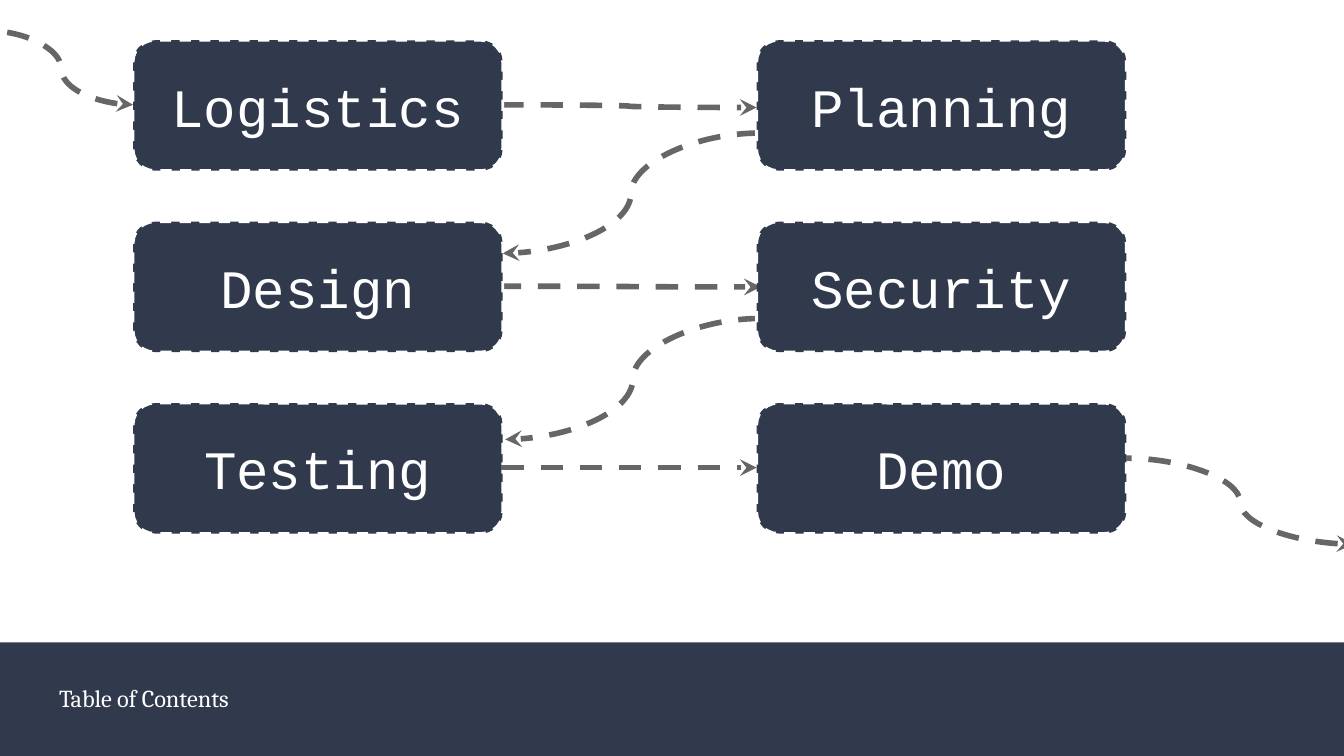
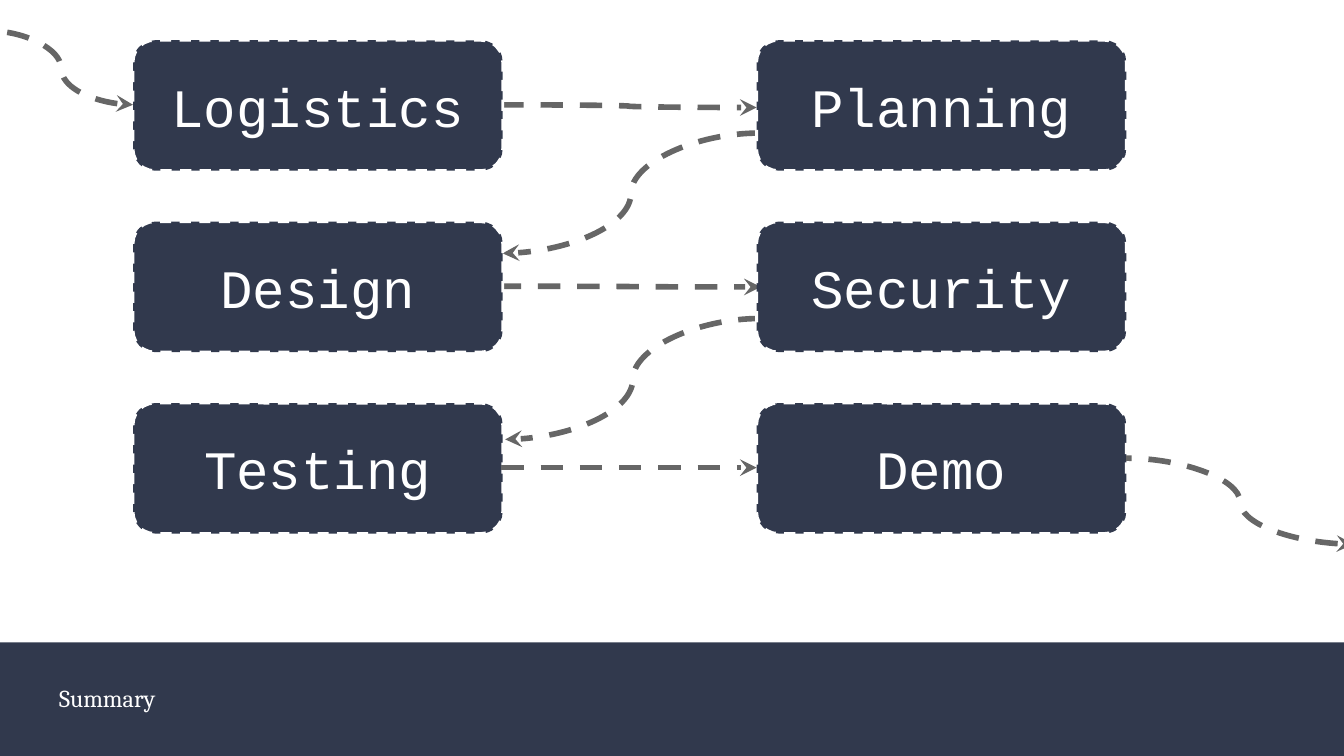
from pptx import Presentation
from pptx import util as u
from pptx.dml.color import RGBColor
from pptx.enum import dml, shapes, text
from pptx.oxml.ns import qn
from lxml import etree

SCALE = 4572  # EMU per px, 200 px to the inch
WIDTH, HEIGHT = 2000, 1125
BAND_TOP = 956

# Grid of topic boxes
COLUMNS = (198, 1126)
BOX_TOP, ROW_STEP = 60, 270
BOX_WIDTH, BOX_HEIGHT = 550, 194
TOPICS = (("Logistics", "Planning"), ("Design", "Security"), ("Testing", "Demo"))

# Arrows as start, finish and the end that carries the arrowhead
ARROWS_BELOW = (
    ((746, 156), (1126, 160), "tailEnd"),
    ((1132, 474), (752, 654), "tailEnd"),
    ((742, 426), (1132, 427), "tailEnd"),
    ((1130, 198), (748, 377), "tailEnd"),
    ((198, 156), (-16, 46), "headEnd"),
)
ARROWS_ABOVE = (
    ((746, 696), (1126, 696), "tailEnd"),
    ((2014, 810), (1676, 682), "headEnd"),
)


def px(*lengths):
    return [u.Emu(length * SCALE) for length in lengths]


def color(value):
    return RGBColor.from_string(value)


class Deck:
    NAVY, WHITE, GRAY = "31394D", "FFFFFF", "666666"
    CAPTION_FONT, BOX_FONT = "Cambria", "Courier New"

    def __init__(self):
        self.presentation = Presentation()
        self.presentation.slide_width, self.presentation.slide_height = px(WIDTH, HEIGHT)
        self.layout = self.presentation.slide_layouts.get_by_name("Section Header")
        self.slide = None

    def add_slide(self):
        self.slide = self.presentation.slides.add_slide(self.layout)
        title = self.slide.shapes.title.element
        title.getparent().remove(title)

    def block(self, kind, left, top, width, height):
        shape = self.slide.shapes.add_shape(kind, *px(left, top, width, height))
        shape.shadow.inherit = False
        shape.fill.solid()
        shape.fill.fore_color.rgb = color(self.NAVY)
        return shape

    def outline(self, line, value, points):
        line.color.rgb = color(value)
        line.width = u.Pt(points)
        line.dash_style = dml.MSO_LINE.DASH

    def label(self, shape, words, font, size, align):
        frame = shape.text_frame
        frame.text = words
        frame.word_wrap = True
        frame.auto_size = text.MSO_AUTO_SIZE.NONE
        frame.vertical_anchor = text.MSO_ANCHOR.MIDDLE
        frame.margin_left = frame.margin_right = u.Inches(0.1)
        frame.margin_top = frame.margin_bottom = u.Inches(0.1)
        for paragraph in frame.paragraphs:
            paragraph.alignment = align
            paragraph.space_before = u.Pt(0)
            for run in paragraph.runs:
                run.font.name = font
                run.font.size = u.Pt(size)
                run.font.color.rgb = color(self.WHITE)

    def layout_band(self):
        """Draw the footer band once and place it behind everything in the layout."""
        band = self.block(shapes.MSO_SHAPE.RECTANGLE, 0, BAND_TOP, WIDTH, HEIGHT - BAND_TOP)
        band.line.fill.background()
        self.layout.shapes.element.insert(2, band.element)

    def caption(self, words):
        body = self.slide.placeholders[1]
        body.left, body.top, body.width, body.height = px(68, 988, 1746, 100)
        self.label(body, words, self.CAPTION_FONT, 13, text.PP_ALIGN.LEFT)

    def box(self, words, left, top):
        shape = self.block(shapes.MSO_SHAPE.ROUNDED_RECTANGLE, left, top, BOX_WIDTH, BOX_HEIGHT)
        self.outline(shape.line, self.WHITE, 1.5)
        self.label(shape, words, self.BOX_FONT, 29, text.PP_ALIGN.CENTER)

    def arrow(self, start, finish, head):
        connector = self.slide.shapes.add_connector(
            shapes.MSO_CONNECTOR.CURVE, *px(*start, *finish))
        self.outline(connector.line, self.GRAY, 3)
        etree.SubElement(connector.get_or_add_ln(), qn(f"a:{head}"), type="stealth")
        etree.SubElement(connector.element.spPr, qn("a:effectLst"))


def main():
    deck = Deck()
    for number, caption in enumerate(("Table of Contents", "Summary")):
        deck.add_slide()
        if number == 0:
            deck.layout_band()
        deck.caption(caption)

        # Flow of topics, row by row
        for arrow in ARROWS_BELOW:
            deck.arrow(*arrow)
        for row, topics in enumerate(TOPICS):
            for left, topic in zip(COLUMNS, topics):
                deck.box(topic, left, BOX_TOP + row * ROW_STEP)
        for arrow in ARROWS_ABOVE:
            deck.arrow(*arrow)
    deck.presentation.save("out.pptx")


if __name__ == "__main__":
    main()
